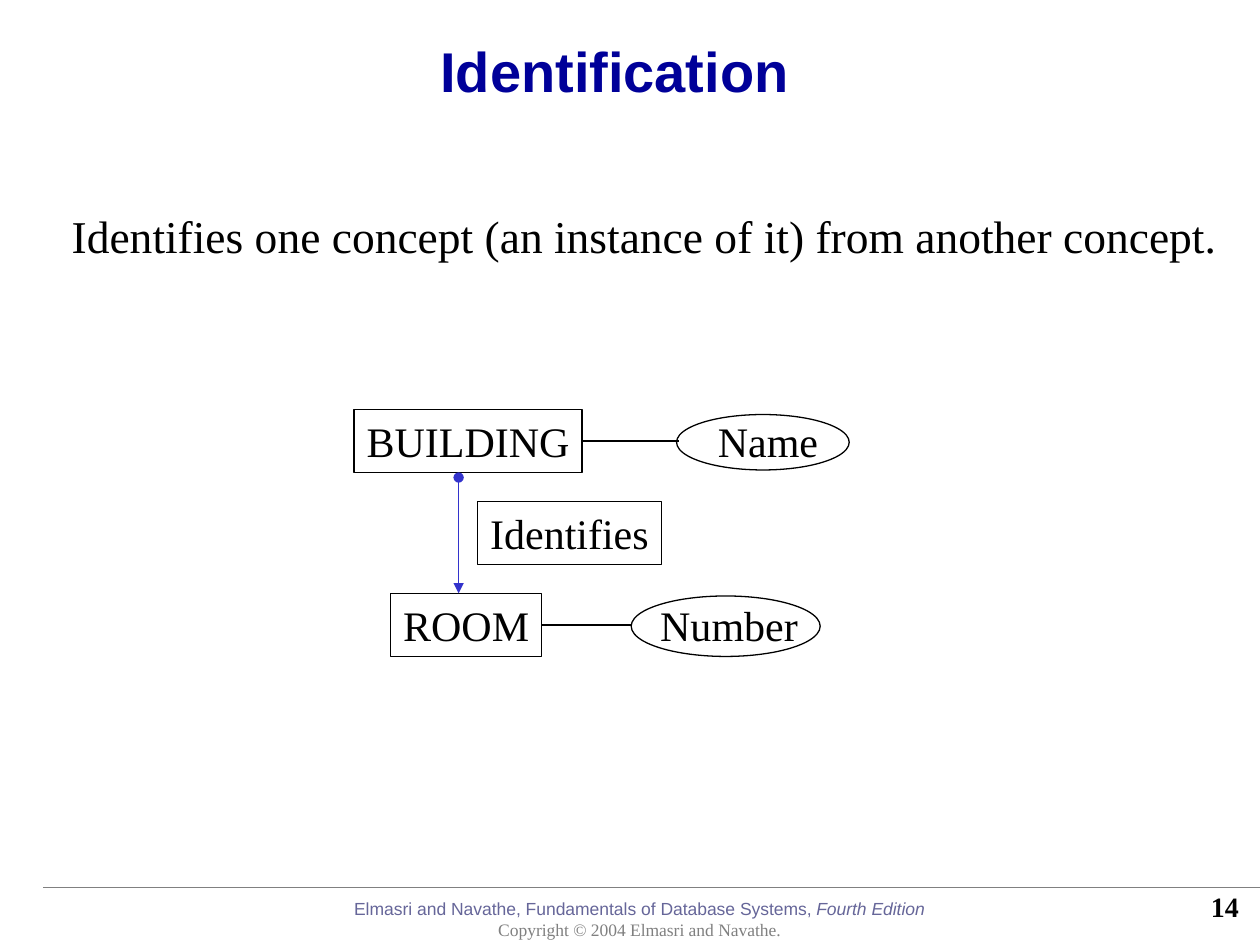
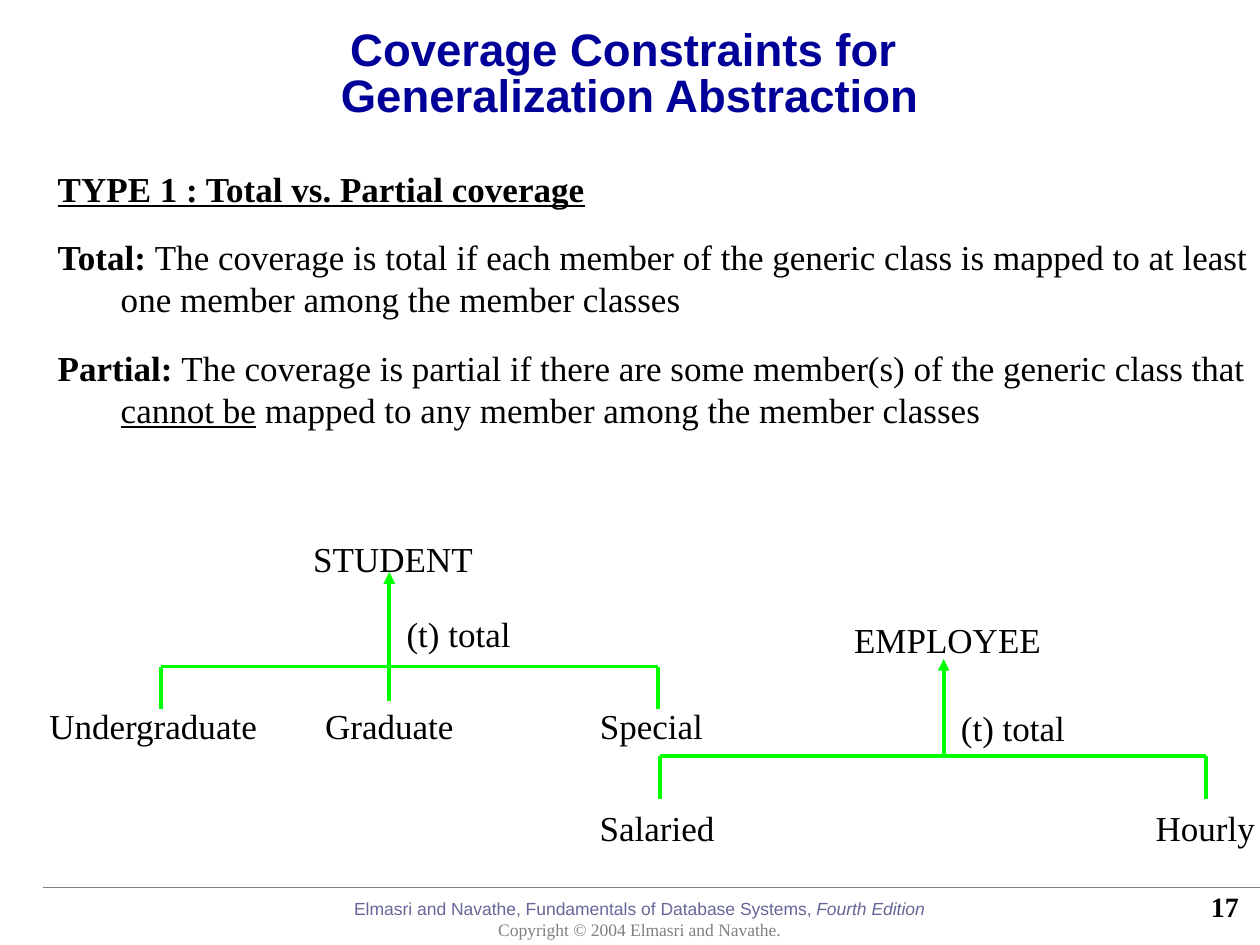
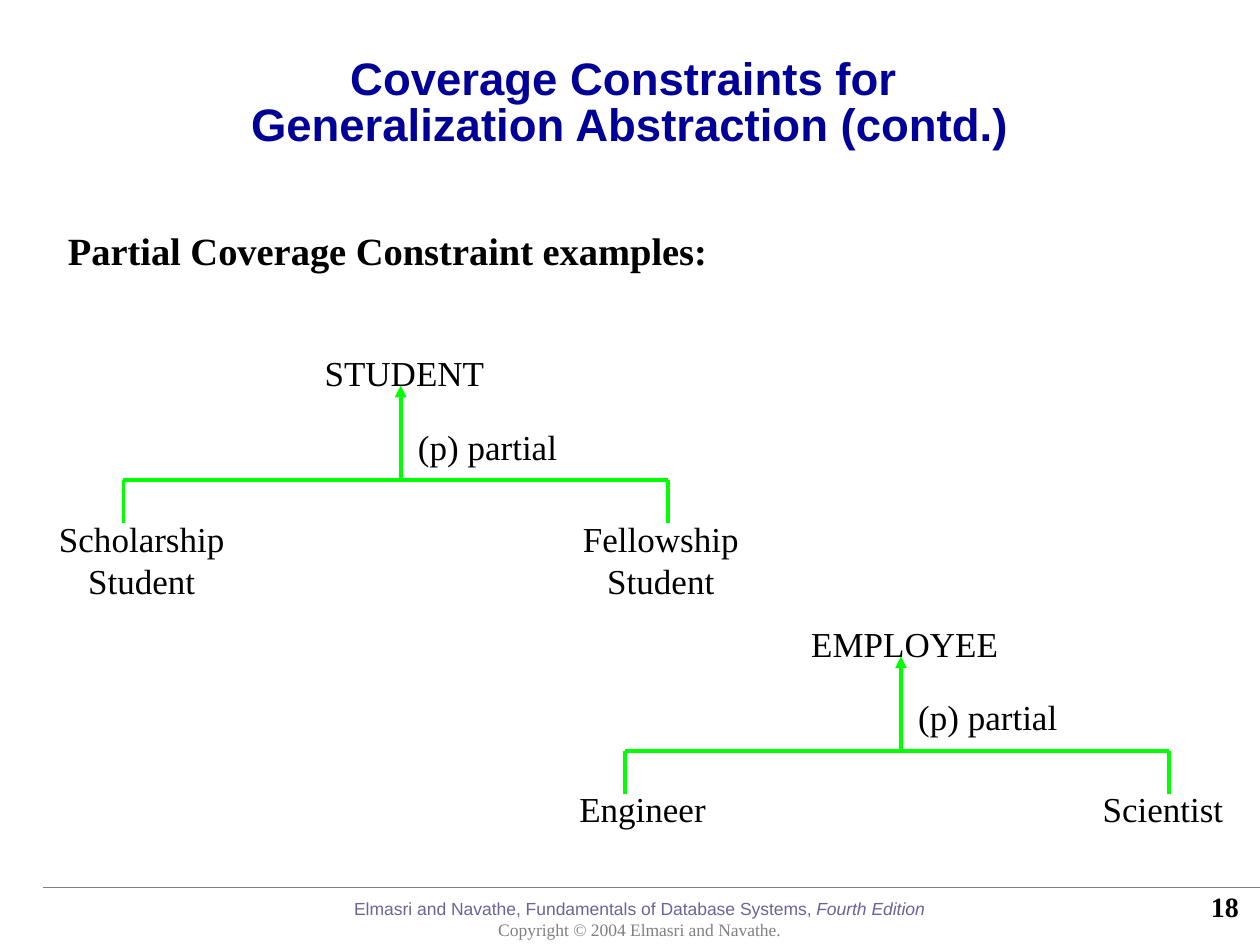
"""Build three slides on data abstraction, laid out on a grid of 100 columns by 75 rows."""
from lxml.etree import SubElement as Sub
from pptx import Presentation
from pptx.dml.color import RGBColor
from pptx.enum.shapes import MSO_CONNECTOR as Link, MSO_SHAPE as Shape
from pptx.enum.text import MSO_ANCHOR as Anchor, MSO_AUTO_SIZE as Fit, PP_ALIGN as Align
from pptx.oxml.ns import qn
from pptx.util import Inches, Pt

tint = RGBColor.from_string
BLACK, WHITE, NAVY, GREY, SLATE, BLUE, GREEN = (
    "000000", "FFFFFF", "000099", "808080", "666699", "3333CC", "00FF00")
SANS, SERIF = "Arial", "Times New Roman"

deck = Presentation()
deck.slide_width, deck.slide_height = Inches(10), Inches(7.5)
cell = deck.slide_width / 100

MID = {"alignment": Align.CENTER}
SNUG = {"margin_left": Inches(0.05), "margin_right": Inches(0.05)}
HEAD = {"vertical_anchor": Anchor.MIDDLE, "auto_size": Fit.SHAPE_TO_FIT_TEXT}
BOLD = {"bold": True}


def write(slide, at, paras, font, lay={}, frame={}, kind=None, fill=None):
    """Add a text box, or an outlined shape of the given kind, holding paragraphs of runs."""
    spot = [round(cell * v) for v in at]
    if kind is None:
        box = slide.shapes.add_textbox(*spot)
    else:
        box = slide.shapes.add_shape(kind, *spot)
        box.shadow.inherit = False
        box.line.width = Pt(0.75)
        box.line.color.rgb = tint(BLACK)
        box.fill.background()
        if fill:
            box.fill.solid()
            box.fill.fore_color.rgb = tint(fill)
    body = box.text_frame
    for key, val in ({"word_wrap": True, "vertical_anchor": Anchor.TOP} | frame).items():
        setattr(body, key, val)
    for i, runs in enumerate(paras):
        para = body.add_paragraph() if i else body.paragraphs[0]
        for key, val in ({"alignment": Align.LEFT} | lay).items():
            setattr(para, key, val)
        for words, extra in runs:
            style = {"name": SERIF, "color": BLACK} | font | extra
            hue = style.pop("color")
            for j, part in enumerate(words.split("\n")):
                if j:
                    para.add_line_break()
                run = para.add_run()
                run.text = part
                run.font.color.rgb = tint(hue)
                for key, val in style.items():
                    setattr(run.font, key, val)
    return box


def draw(slide, ends, hue, width=0.75, tips={}):
    """Add a straight line with optional arrowheads."""
    line = slide.shapes.add_connector(Link.STRAIGHT, *(round(cell * v) for v in ends))
    line.line.width = Pt(width)
    line.line.color.rgb = tint(hue)
    for tag, kind in tips.items():
        Sub(line.line._ln, qn("a:" + tag), type=kind)
    Sub(line._element.spPr, qn("a:effectLst"))
    return line


topic = "Coverage Constraints for \nGeneralization Abstraction"
total = [
    [("TYPE 1 : Total vs. Partial coverage", BOLD | {"underline": True})],
    [("Total: ", BOLD),
     ("The coverage is total if each member of the generic class is mapped "
      "to at least one member among the member classes", {})],
    [("Partial: ", BOLD),
     ("The coverage is partial if there are some member(s) of the generic class that ", {}),
     ("cannot be", {"underline": True}),
     (" mapped to any member among the member classes", {})]]

pages = [
    (14, "Identification", 32, (5.1, 3.2, 87.4, 5.5),
     [[("Identifies one concept (an instance of it) from another concept.", {})]],
     26, (4.7, 16, 97.5, 5.3), 9.8, 16.2, 0),
    (17, topic, 26, (0, 1.8, 100, 8.4),
     total, 20, (3.6, 12.8, 97.5, 21.9), 7.5, 7.5, 0.5),
    (18, topic + " (contd.)", 26, (0, 4.1, 100, 8.4),
     [[("Partial Coverage Constraint examples:", BOLD)]],
     22, (4.4, 17.5, 97.5, 4.7), 8.2, 8.2, 0.5)]

slides = []
for num, title, big, top, paras, size, at, above, below, hang in pages:
    slide = deck.slides.add_slide(deck.slide_layouts[6])
    slides.append(slide)
    write(slide, (9.3, 72, 82.9, 3.1), [
        [("Elmasri and Navathe, Fundamentals of Database Systems, ", {}),
         ("Fourth Edition", {"italic": True})],
        [("Copyright © 2004 Elmasri and Navathe.", {"name": SERIF, "color": GREY})]],
        {"name": SANS, "size": Pt(10), "color": SLATE}, MID,
        {"vertical_anchor": Anchor.BOTTOM})
    draw(slide, (100.2, 70.45, 3.4, 70.45), GREY)
    write(slide, (78.5, 69.8, 20.8, 4.2), [[(str(num), BOLD)]], {"size": Pt(16)},
          {"alignment": Align.RIGHT}, {"vertical_anchor": Anchor.MIDDLE})
    write(slide, top, [[(title, BOLD)]], {"name": SANS, "size": Pt(big), "color": NAVY},
          MID | {"line_spacing": 0.85}, HEAD)
    text = write(slide, at, paras, {"size": Pt(size)},
                 {"space_before": Pt(above), "space_after": Pt(below)})
    for para in text.text_frame.paragraphs:
        form = para._p.get_or_add_pPr()
        form.set("marL", str(Inches(hang)))
        form.set("indent", str(-Inches(hang)))

first = slides[0]
for at in (50.1, 47.3, 15, 4.8), (53.7, 32.9, 13.7, 4.4):
    write(first, at, [], {}, kind=Shape.OVAL, fill=WHITE)
nodes = {}
for name, left, top, width, kind, fill in [
        ("BUILDING", 28.1, 32.5, 18.1, Shape.RECTANGLE, WHITE),
        ("ROOM", 31, 47.1, 12, Shape.RECTANGLE, WHITE),
        ("Identifies", 37.9, 39.8, 14.6, Shape.RECTANGLE, None),
        ("Name", 56, 32.5, 9.9, None, None),
        ("Number", 51.4, 47.1, 12.9, None, None)]:
    nodes[name] = write(first, (left, top, width, 5), [[(name, {})]], {"size": Pt(24)},
                        MID, SNUG, kind, fill)
for name, ends in ("BUILDING", (46.2, 35, 53.9, 35)), ("ROOM", (43, 49.6, 50.1, 49.6)):
    draw(first, ends, BLACK).begin_connect(nodes[name], 3)
draw(first, (36.4, 37.9, 36.4, 47.1), BLUE, tips={"headEnd": "oval", "tailEnd": "triangle"})

trees = [
    (slides[1], "STUDENT", 14.7, "(t) total", 10.2, 30.9, (42.2, 45.4, 48.1, 52.9, 55.6, 55.4),
     (12.8, 52.2), [("Undergraduate", 2.9, 18.5), ("Graduate", 24.8, 12.2), ("Special", 46.6, 10.2)]),
    (slides[1], "EMPLOYEE", 16.8, "(t) total", 10.2, 74.9, (48.6, 52.3, 55.6, 60, 60, 63.5),
     (52.4, 95.7), [("Salaried", 46.6, 11.1), ("Hourly", 90.7, 9.9)]),
    (slides[2], "STUDENT", 14.7, "(p) partial", 13, 31.8, (27.4, 30.6, 33.3, 38.1, 38.1, 40.6),
     (9.8, 53), [("Scholarship\nStudent", 3.7, 15.1), ("Fellowship\nStudent", 45.3, 14.3)]),
    (slides[2], "EMPLOYEE", 16.8, "(p) partial", 13, 71.5, (48.9, 52.1, 54.7, 59.6, 59.8, 62),
     (49.6, 92.8), [("Engineer", 45, 12), ("Scientist", 86.5, 11.6)])]

for slide, root, wide, mark, span, stem, rows, sides, leaves in trees:
    head, tip, note, bar, foot, base = rows
    labels = [(root, stem + 0.3 - wide / 2, head, wide), (mark, stem + 0.4, note, span)]
    labels += [(name, left, base, width) for name, left, width in leaves]
    for name, left, top, width in labels:
        high = 4.4 + 3.3 * name.count("\n")
        write(slide, (left, top, width, high), [[(name, {})]], {"size": Pt(20)}, MID, SNUG)
    draw(slide, (stem, tip, stem, foot), GREEN, 2.25, {"headEnd": "triangle"})
    draw(slide, (sides[0], bar, sides[1], bar), GREEN, 2.25)
    for side in sides:
        draw(slide, (side, bar, side, bar + 3.4), GREEN, 2.25)

deck.save("out.pptx")
